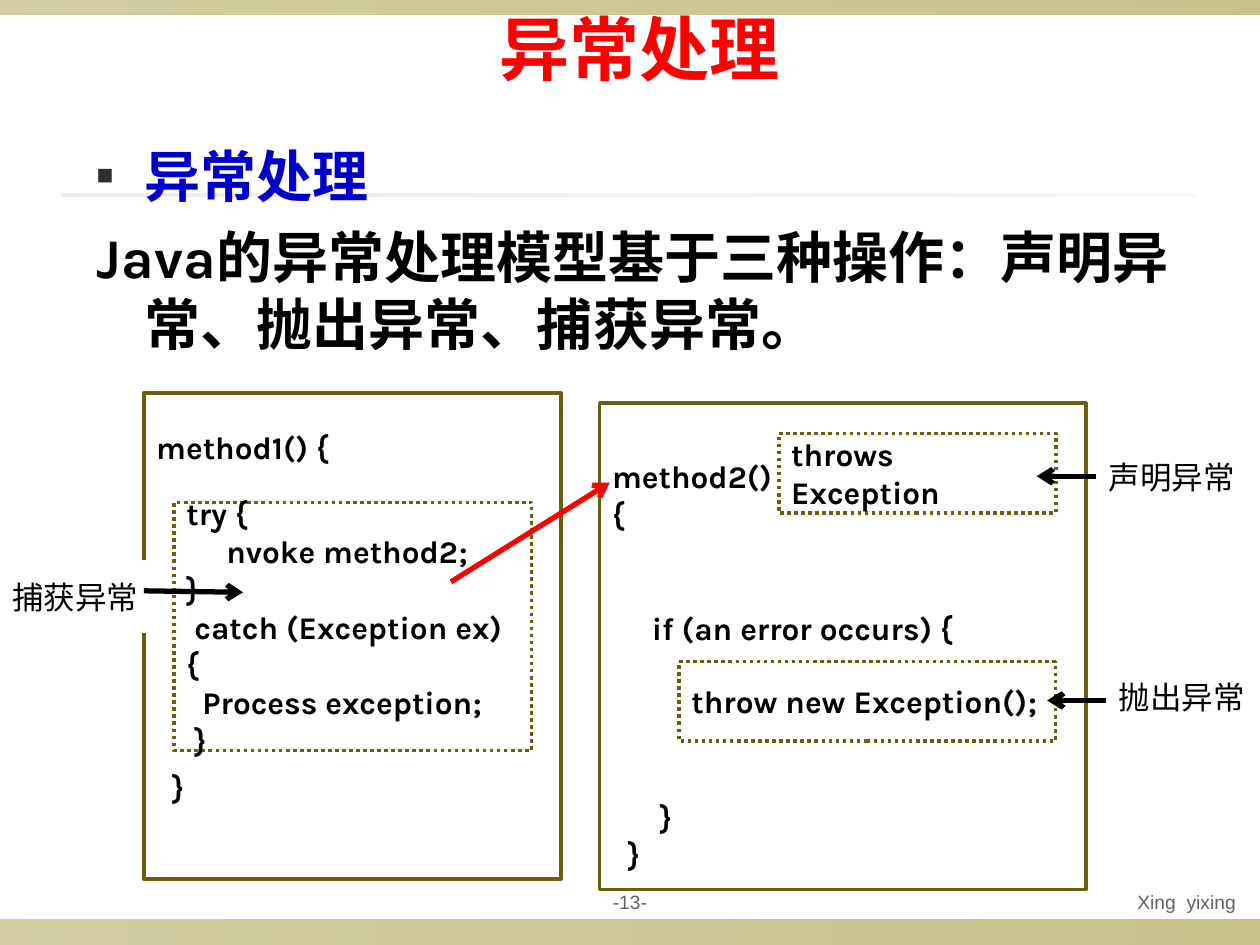
from dataclasses import dataclass

from lxml import etree
from pptx import Presentation
from pptx.dml.color import RGBColor
from pptx.enum.dml import MSO_LINE
from pptx.enum.shapes import MSO_CONNECTOR, MSO_SHAPE
from pptx.enum.text import MSO_ANCHOR, MSO_AUTO_SIZE, PP_ALIGN
from pptx.oxml.ns import qn
from pptx.util import Cm, Pt

RECT = MSO_SHAPE.RECTANGLE
LINE = MSO_CONNECTOR.STRAIGHT
SOLID, DOTS = MSO_LINE.SOLID, MSO_LINE.ROUND_DOT
TOP, MIDDLE = MSO_ANCHOR.TOP, MSO_ANCHOR.MIDDLE
LEFT, CENTER, RIGHT = PP_ALIGN.LEFT, PP_ALIGN.CENTER, PP_ALIGN.RIGHT
FIXED = MSO_AUTO_SIZE.NONE


@dataclass(frozen=True)
class Theme:
    face: str = "Karla"
    small_face: str = "Arial"
    title: int = 40
    body: int = 32
    code: int = 18
    foot: int = 11
    row: float = 21.6
    red: str = "FF0000"
    blue: str = "0000CC"
    black: str = "000000"
    white: str = "FFFFFF"
    gray: str = "636363"
    dark: str = "2F2F2F"
    olive: str = "695F0C"
    gold: str = "918415"
    sand: str = "DCD9CC"


def apply(thing, values):
    for name, value in values.items():
        setattr(thing, name, value)


def add(parent, tag, **values):
    return etree.SubElement(parent, qn(tag), values)


class Deck:
    def __init__(self, theme):
        self.theme = theme
        self.show = Presentation()
        apply(self.show, {"slide_width": Cm(25.4), "slide_height": Cm(19.05)})
        self.slide = self.show.slides.add_slide(self.show.slide_layouts[1])
        self.shapes = self.slide.shapes

    def font(self, part, size, color, bold=False, face=None):
        apply(part.font, {"name": face or self.theme.face, "size": Pt(size), "bold": bold})
        part.font.color.rgb = RGBColor.from_string(color)

    def frame(self, shape, anchor=MIDDLE, side=0.25, top=0.13):
        apply(shape.text_frame, {
            "word_wrap": True, "auto_size": FIXED, "vertical_anchor": anchor,
            "margin_left": Cm(side), "margin_right": Cm(side),
            "margin_top": Cm(top), "margin_bottom": Cm(0.13)})
        return shape.text_frame

    def put(self, frame, lines, size, color, align=LEFT, **style):
        for at, (text, skip) in enumerate(lines):
            part = frame.add_paragraph() if at else frame.paragraphs[0]
            apply(part, {"text": text, "alignment": align})
            if skip:
                part.space_before = Pt(skip * self.theme.row)
            self.font(part, size, color, **style)

    def place(self, shape, area):
        names = ("left", "top", "width", "height")
        apply(shape, dict(zip(names, map(Cm, area))))
        self.shapes._spTree.append(shape._element)

    def band(self, area, color, alphas):
        shape = self.shapes.add_shape(RECT, *map(Cm, area))
        shape.shadow.inherit = False
        shape.line.fill.background()
        shape.fill.gradient()
        shape.fill.gradient_angle = 0
        for stop in shape.fill.gradient_stops:
            stop.color.rgb = RGBColor.from_string(color)
        for node, alpha in zip(shape._element.iter(qn("a:srgbClr")), alphas):
            add(node, "a:alpha", val=str(alpha * 1000))

    def title(self, area, text):
        shape = self.shapes.title
        self.place(shape, area)
        self.put(self.frame(shape), [(text, 0)], self.theme.title,
                 self.theme.red, CENTER, bold=True)

    def body(self, area, items):
        shape = self.slide.placeholders[1]
        self.place(shape, area)
        frame = self.frame(shape, TOP)
        for at, (text, color, mark) in enumerate(items):
            part = frame.add_paragraph() if at else frame.paragraphs[0]
            apply(part, {"text": text, "space_before": Pt(8 if at else 0)})
            props = part._p.get_or_add_pPr()
            props.attrib.update({"marL": str(Cm(0.97)), "indent": str(-Cm(0.97))})
            if mark:
                tint = add(props, "a:buClr")
                add(tint, "a:srgbClr", val=self.theme.dark)
                add(props, "a:buSzPct", val="50000")
                add(props, "a:buFont", typeface=self.theme.small_face)
                add(props, "a:buChar", char=mark)
            else:
                add(props, "a:buNone")
            self.font(part, self.theme.body, color, bold=True)

    def note(self, area, text, align, side=0.25):
        shape = self.shapes.add_textbox(*map(Cm, area))
        self.put(self.frame(shape, side=side), [(text, 0)], self.theme.foot,
                 self.theme.gray, align, face=self.theme.small_face)

    def box(self, area, lines, edge, dash=SOLID, bold=True, **layout):
        shape = self.shapes.add_shape(RECT, *map(Cm, area))
        shape.shadow.inherit = False
        shape.fill.solid()
        shape.fill.fore_color.rgb = RGBColor.from_string(self.theme.white)
        self.stroke(shape.line, edge, 2, dash)
        self.put(self.frame(shape, **layout), lines, self.theme.code,
                 self.theme.black, bold=bold)

    def label(self, left, top, text):
        self.box((left, top, 3.1, 1.4), [(text, 0)], self.theme.white, bold=False)

    def stroke(self, line, color, width, dash=SOLID):
        line.color.rgb = RGBColor.from_string(color)
        apply(line, {"width": Pt(width), "dash_style": dash})

    def arrow(self, ends, color):
        link = self.shapes.add_connector(LINE, *map(Cm, ends))
        self.stroke(link.line, color, 3)
        add(link.line._get_or_add_ln(), "a:tailEnd", type="arrow")
        add(link._element.spPr, "a:effectLst")


def main():
    look = Theme()
    deck = Deck(look)

    deck.band((0, 18.54, 25.4, 0.51), look.gold, (40, 50))
    deck.band((0, 0, 25.4, 0.3), look.gold, (40, 50))
    deck.band((1.27, 3.91, 22.86, 0.05), look.sand, (50, 20))

    deck.title((2.69, 0, 20.4, 1.93), "异常处理")
    deck.note((14.81, 17.78, 10.36, 0.79), "Xing  yixing", RIGHT)
    deck.note((11.43, 17.78, 2.54, 0.79), "-13-", CENTER, side=0.13)
    deck.body((1.7, 2.72, 22.86, 15.01), [
        ("异常处理", look.blue, "■"),
        ("Java的异常处理模型基于三种操作：声明异常、抛出异常、捕获异常。", look.black, None)])

    deck.box((2.9, 7.92, 8.41, 9.8), [("method1() {", 0), ("  }", 8)],
             look.olive, anchor=TOP, top=0.71)
    deck.box((3.51, 10.13, 7.21, 5), [
        ("try {", 0), ("     nvoke method2;", 0), ("}", 0),
        (" catch (Exception ex) {", 0), ("  Process exception;", 0), (" }", 0)],
        look.olive, DOTS)
    deck.box((12.09, 8.13, 9.8, 9.8), [
        ("method2()", 0), ("{", 0), ("     if (an error occurs) {", 2),
        ("      }", 4), ("  }", 0)], look.olive, anchor=TOP, top=1.09)
    deck.box((15.7, 8.74, 5.59, 1.6), [("throws Exception", 0)], look.olive, DOTS)
    deck.box((13.69, 13.34, 7.59, 1.6), [("throw new Exception();", 0)], look.olive, DOTS)

    deck.label(0, 11.33, "捕获异常")
    deck.label(22.1, 8.92, "声明异常")
    deck.label(22.3, 13.34, "抛出异常")

    for ends, color in (
            ((2.9, 11.91, 4.9, 11.94), look.black),
            ((22.1, 9.6, 20.9, 9.6), look.black),
            ((22.3, 14.12, 21.11, 14.12), look.black),
            ((9.09, 11.73, 12.29, 9.73), look.red)):
        deck.arrow(ends, color)

    deck.show.save("out.pptx")


if __name__ == "__main__":
    main()
